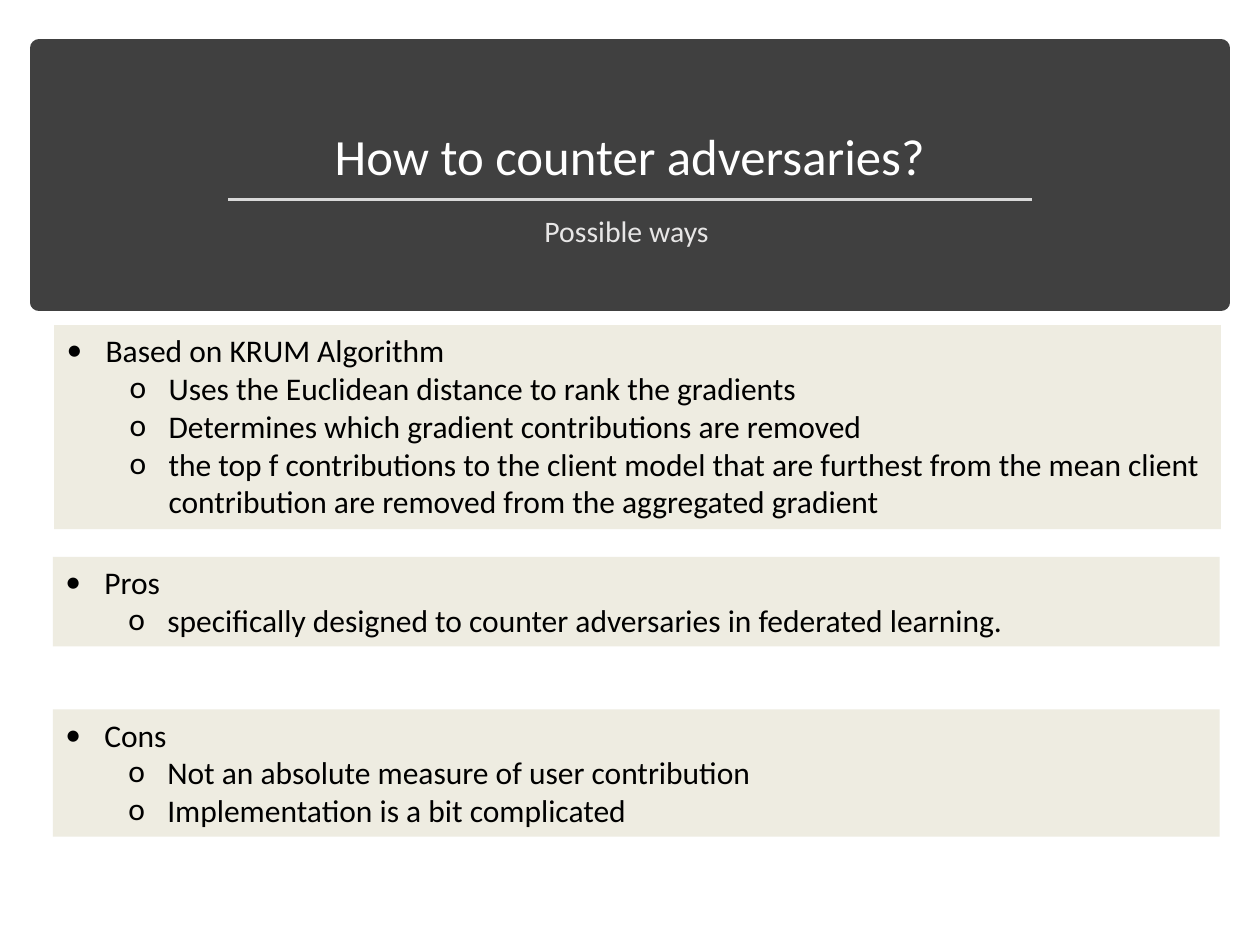
from dataclasses import dataclass

from lxml.etree import SubElement
from pptx import Presentation
from pptx.dml.color import RGBColor
from pptx.enum.shapes import MSO_CONNECTOR, MSO_SHAPE
from pptx.enum.text import MSO_ANCHOR, MSO_AUTO_SIZE, PP_ALIGN
from pptx.oxml.ns import qn
from pptx.util import Inches, Pt

FONT = "Calibri"
BANNER = "404040"
PANEL = "EEECE1"
HANGING = 0.31
LEVEL_STEP = 0.5


@dataclass
class Panel:
    """A tinted box with a heading and its points."""
    left: float
    top: float
    height: float
    heading: str
    points: list[str]


PANELS = [
    Panel(0.43, 2.58, 1.62, "Based on KRUM Algorithm", [
        "Uses the Euclidean distance to rank the gradients",
        "Determines which gradient contributions are removed",
        "the top f contributions to the client model that are furthest from the "
        "mean client contribution are removed from the aggregated gradient",
    ]),
    Panel(0.42, 4.42, 0.71, "Pros", [
        "specifically designed to counter adversaries in federated learning.",
    ]),
    Panel(0.42, 5.63, 1.01, "Cons", [
        "Not an absolute measure of user contribution ",
        "Implementation is a bit complicated",
    ]),
]


def paint(color_format, color: str) -> None:
    """Set a colour from a hex string."""
    color_format.rgb = RGBColor.from_string(color)


def place(shape, left: float, top: float, width: float, height: float) -> None:
    """Move and size a shape, in inches."""
    shape.left, shape.top = Inches(left), Inches(top)
    shape.width, shape.height = Inches(width), Inches(height)


def add_span(para, text: str, size: float, color: str) -> None:
    """Add one formatted run to a paragraph."""
    span = para.add_run()
    span.text = text
    span.font.name = FONT
    span.font.size = Pt(size)
    paint(span.font.color, color)


def add_box(page, left: float, top: float, width: float, height: float, color: str):
    """Add a filled rectangle without outline or shadow."""
    box = page.shapes.add_shape(MSO_SHAPE.RECTANGLE, Inches(left), Inches(top),
                                Inches(width), Inches(height))
    box.shadow.inherit = False
    box.fill.solid()
    paint(box.fill.fore_color, color)
    box.line.fill.background()
    return box


def add_banner(page) -> None:
    """Draw the dark banner with rounded outline behind the headings."""
    banner = add_box(page, 0.31, 0.38, 9.38, 2.02, BANNER)
    banner.line.width = Pt(10)
    banner.line.fill.solid()
    paint(banner.line.color, BANNER)
    SubElement(banner._element.spPr.find(qn("a:ln")), qn("a:round"))
    page.shapes._spTree.insert(2, banner._element)


def fill_heading(holder, text: str, size: float, color: str, anchor) -> None:
    """Write centred text into a placeholder."""
    frame = holder.text_frame
    frame.word_wrap = True
    frame.auto_size = MSO_AUTO_SIZE.NONE
    frame.vertical_anchor = anchor
    para = frame.paragraphs[0]
    para.alignment = PP_ALIGN.CENTER
    para.line_spacing = 0.9
    add_span(para, text, size, color)


def add_rule(page) -> None:
    """Draw the line between title and subtitle."""
    rule = page.shapes.add_connector(MSO_CONNECTOR.STRAIGHT, Inches(1.81), Inches(1.58),
                                     Inches(8.19), Inches(1.58))
    rule.line.width = Pt(1.75)
    paint(rule.line.color, "D9D9D9")
    SubElement(rule._element.spPr, qn("a:effectLst"))


def set_bullet(para, mark: str, level: int) -> None:
    """Give a paragraph a bullet with a hanging indent."""
    para.level = level
    properties = para._p.get_or_add_pPr()
    properties.set("marL", str(Inches(HANGING + LEVEL_STEP * level)))
    properties.set("indent", str(-Inches(HANGING)))
    SubElement(properties, qn("a:buFont")).set("typeface", FONT)
    SubElement(properties, qn("a:buChar")).set("char", mark)


def add_panel(page, panel: Panel) -> None:
    """Draw a panel with its bulleted text."""
    box = add_box(page, panel.left, panel.top, 9.26, panel.height, PANEL)
    frame = box.text_frame
    frame.word_wrap = True
    frame.auto_size = MSO_AUTO_SIZE.SHAPE_TO_FIT_TEXT
    frame.vertical_anchor = MSO_ANCHOR.TOP
    for index, text in enumerate([panel.heading, *panel.points]):
        para = frame.add_paragraph() if index else frame.paragraphs[0]
        para.alignment = PP_ALIGN.LEFT
        set_bullet(para, "o" if index else "•", 1 if index else 0)
        add_span(para, text, 18, "000000")


deck = Presentation()
deck.slide_width, deck.slide_height = Inches(10), Inches(7.5)
page = deck.slides.add_slide(deck.slide_layouts[1])
add_banner(page)

title, subtitle = page.shapes.title, page.placeholders[1]
place(title, 0.43, 0.51, 9.14, 1.02)
fill_heading(title, "How to counter adversaries?", 29, "FFFFFF", MSO_ANCHOR.BOTTOM)
place(subtitle, 1.25, 1.67, 7.5, 0.46)
fill_heading(subtitle, "Possible ways ", 17, "E7E6E6", MSO_ANCHOR.TOP)
subtitle_para = subtitle.text_frame.paragraphs[0]
subtitle_para.space_before = Pt(10)
subtitle_properties = subtitle_para._p.get_or_add_pPr()
subtitle_properties.set("marL", "0")
subtitle_properties.set("indent", "0")
SubElement(subtitle_properties, qn("a:buNone"))

add_rule(page)
for panel in PANELS:
    add_panel(page, panel)
deck.save("out.pptx")
